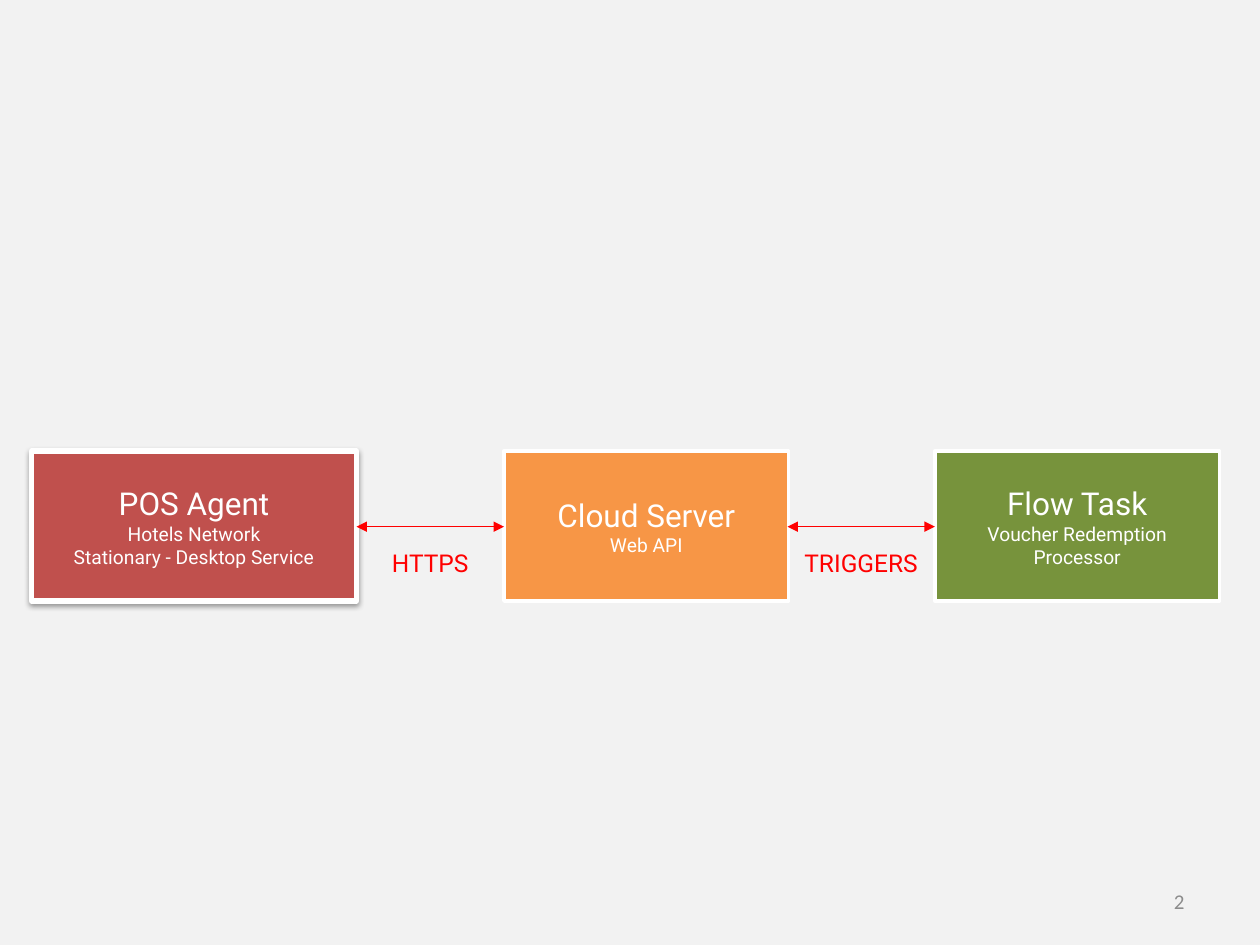
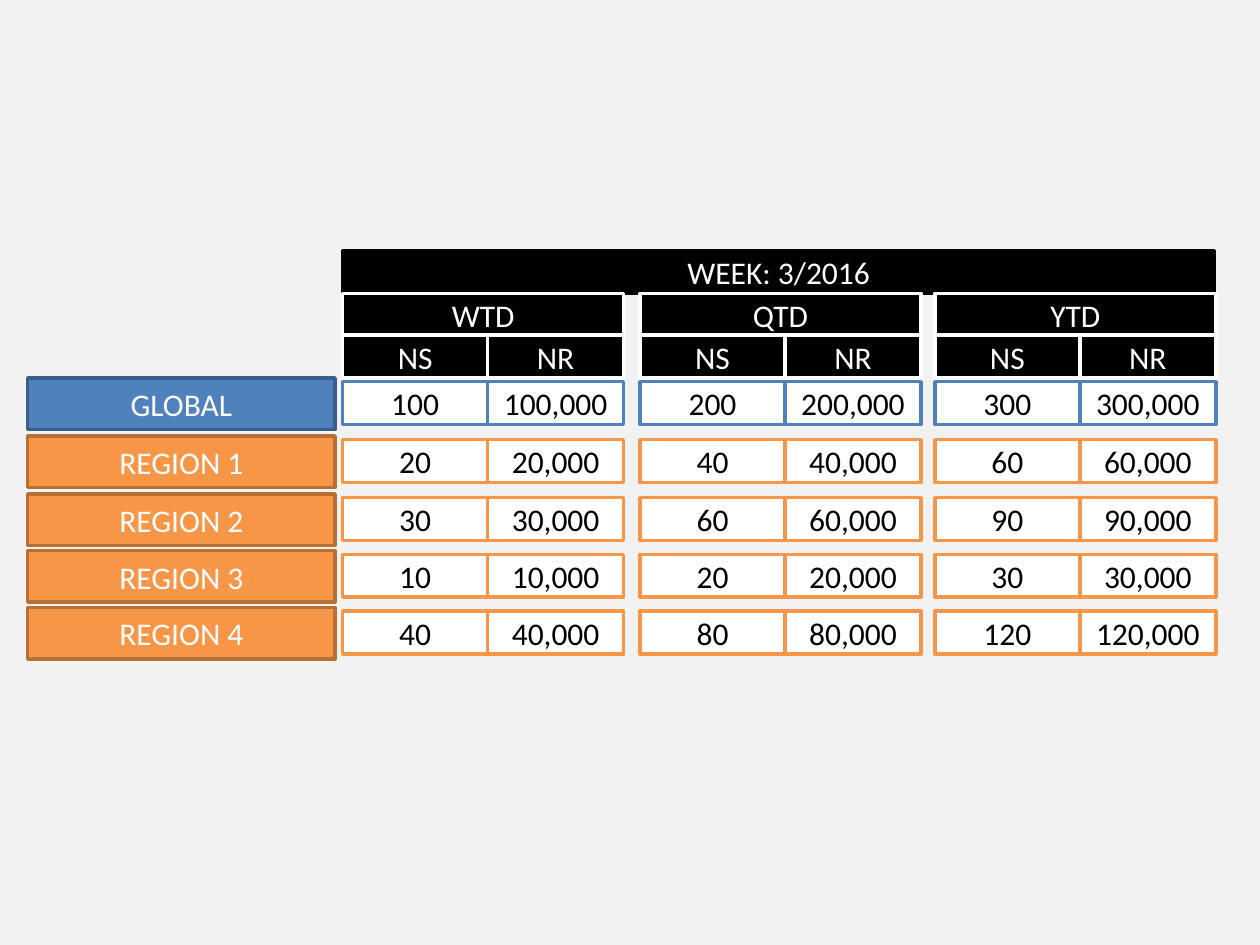
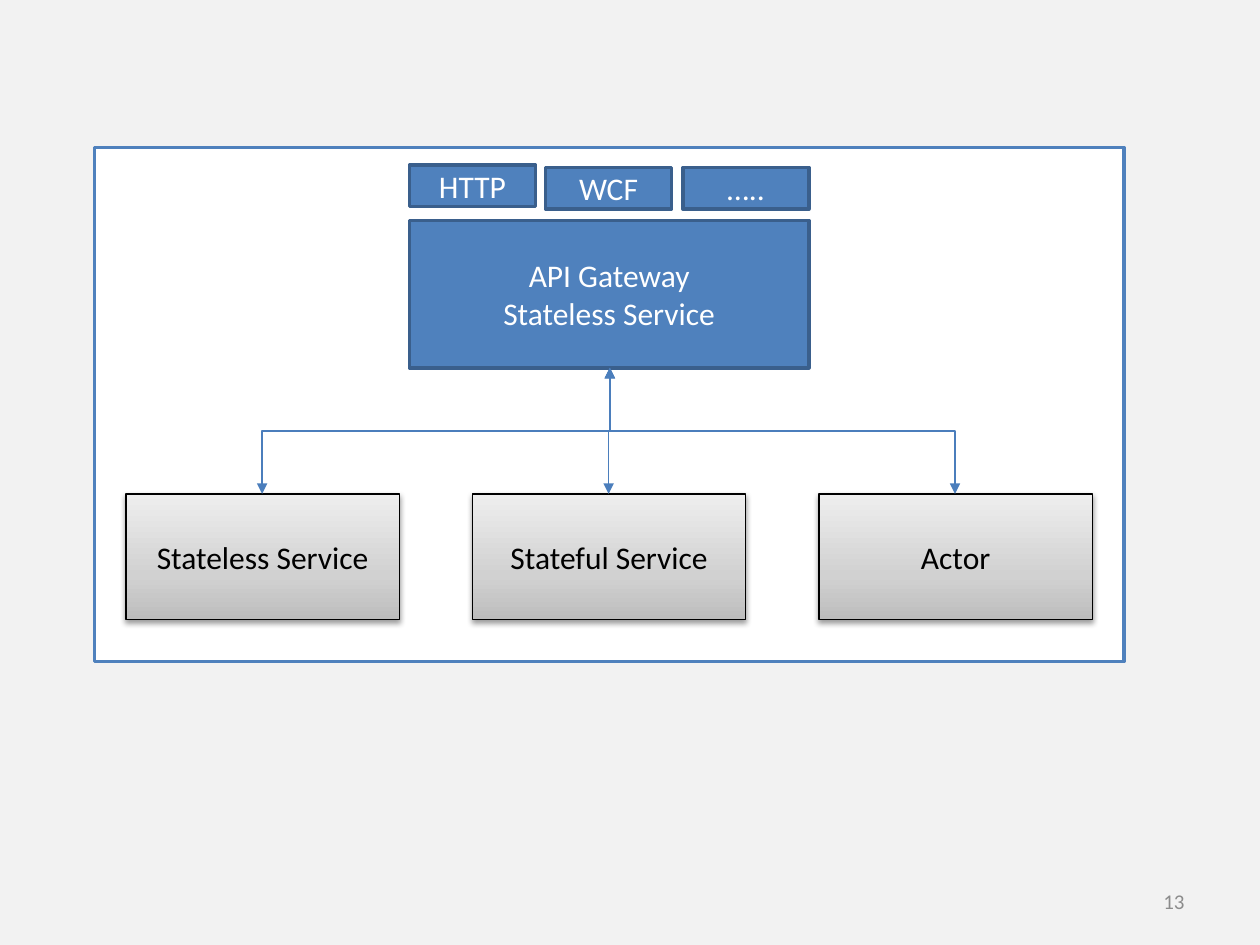
import copy

import lxml.etree
import pptx
import pptx.dml.color
import pptx.enum.shapes
import pptx.enum.text
import pptx.oxml.ns
import pptx.util

SCALE = 9144
BLUE, NAVY = "4F81BD", "3A5F8C"
ORANGE, BROWN = "F79646", "B76F34"
WHITE, BLACK, RED = "FFFFFF", "000000", "FF0000"
GRAY, PALE, WIRE = "8C8C8C", "F2F2F2", "4B7EBC"
ROBOTO = "Roboto"
STEEL = ((0, "BDBDBD"), (0.35, "D1D1D1"), (1, "EEEEEE"))


def px(size):
    return pptx.util.Emu(round(size * SCALE))


def tint(code):
    return pptx.dml.color.RGBColor.from_string(code)


def add(node, tag, **attrs):
    return lxml.etree.SubElement(node, pptx.oxml.ns.qn(tag), attrs)


def write(shape, text, size=18, sub=None, color=WHITE, font="Calibri",
          align="CENTER", anchor="MIDDLE"):
    frame = shape.text_frame
    frame.word_wrap = True
    frame.vertical_anchor = getattr(pptx.enum.text.MSO_ANCHOR, anchor)
    for row, line in enumerate(text.split("\n")):
        par = frame.add_paragraph() if row else frame.paragraphs[0]
        par.alignment = getattr(pptx.enum.text.PP_ALIGN, align)
        run = par.add_run()
        run.text = line
        run.font.size = pptx.util.Pt(sub if row and sub else size)
        run.font.name = font
        run.font.color.rgb = tint(color)


class Deck:
    def __init__(self):
        self.show = pptx.Presentation()
        self.show.slide_width = px(1000)
        self.show.slide_height = px(750)

    def page(self, num=None):
        self.slide = self.show.slides.add_slide(self.show.slide_layouts[6])
        back = self.slide.background.fill
        back.solid()
        back.fore_color.rgb = tint(PALE)
        if num:
            self.label(717, 695, 233, 40, num, size=12, color=GRAY, align="RIGHT")

    def label(self, x, y, wide, high, text, **style):
        box = self.slide.shapes.add_textbox(px(x), px(y), px(wide), px(high))
        write(box, text, **style)

    def box(self, x, y, wide, high, text="", fill=BLUE, edge=NAVY, width=2,
            shade=False, **style):
        rect = self.slide.shapes.add_shape(
            pptx.enum.shapes.MSO_SHAPE.RECTANGLE, px(x), px(y), px(wide), px(high))
        if isinstance(fill, str):
            rect.fill.solid()
            rect.fill.fore_color.rgb = tint(fill)
        else:
            self.blend(rect, fill)
        rect.line.color.rgb = tint(edge)
        rect.line.width = pptx.util.Pt(width)
        rect.shadow.inherit = False
        if shade:
            self.shade(rect)
        if text:
            write(rect, text, **style)

    def blend(self, rect, stops):
        rect.fill.gradient()
        rect.fill.gradient_angle = 90
        nodes = next(rect.element.iter(pptx.oxml.ns.qn("a:gsLst")))
        nodes.append(copy.deepcopy(nodes[0]))
        for stop, (place, code) in zip(rect.fill.gradient_stops, stops):
            stop.position = place
            stop.color.rgb = tint(code)

    def shade(self, rect):
        group = rect.element.spPr.find(pptx.oxml.ns.qn("a:effectLst"))
        drop = add(group, "a:outerShdw", blurRad="40000", dist="20000",
                   dir="5400000", rotWithShape="0")
        add(add(drop, "a:srgbClr", val=BLACK), "a:alpha", val="38000")

    def wire(self, x1, y1, x2, y2, color=RED, kind="STRAIGHT"):
        link = self.slide.shapes.add_connector(
            getattr(pptx.enum.shapes.MSO_CONNECTOR, kind),
            px(x1), px(y1), px(x2), px(y2))
        link.line.color.rgb = tint(color)
        link.line.width = pptx.util.Pt(0.75)
        props = link.element.spPr
        line = props.find(pptx.oxml.ns.qn("a:ln"))
        for end in ("a:headEnd", "a:tailEnd"):
            add(line, end, type="triangle")
        add(props, "a:effectLst")
        return link

    def bend(self, x1, y1, x2, y2):
        midx, midy = (x1 + x2) / 2, (y1 + y2) / 2
        long, wide = (y2 - y1) / 2, abs(x2 - x1) / 2
        link = self.wire(midx - long, midy - wide, midx + long, midy + wide,
                         WIRE, "ELBOW")
        frame = link.element.spPr.find(pptx.oxml.ns.qn("a:xfrm"))
        right = x2 > x1
        frame.set("rot", "16200000" if right else "5400000")
        if right:
            frame.set("flipH", "1")


def flow(deck):
    deck.page("2")
    parts = (
        (25, 258, "POS Agent\nHotels Network\nStationary - Desktop Service", "C0504D", 3),
        (400, 226, "Cloud Server\nWeb API", ORANGE, 2),
        (742, 226, "Flow Task\nVoucher Redemption Processor", "77933C", 2),
    )
    for x, wide, text, fill, width in parts:
        deck.box(x, 358, wide, 119, text, fill, WHITE, width, width == 3,
                 sub=11, font=ROBOTO)
    for x, text in ((283, "HTTPS"), (625, "TRIGGERS")):
        deck.wire(x, 418, x + 117, 418)
        deck.label(x - 8, 430, 133, 34, text, size=14, color=RED,
                   font=ROBOTO, anchor="TOP")


def pair(deck, x, y, texts, **style):
    deck.box(x, y, 115, 34, texts[0], **style)
    deck.box(x + 115, y, 108, 34, texts[1], **style)


def grid(deck):
    deck.page()
    spots = (272, 508, 742)
    head = {"fill": BLACK, "edge": WHITE}
    deck.box(272, 199, 692, 34, "WEEK: 3/2016", BLACK, BLACK)
    for x, term in zip(spots, ("WTD", "QTD", "YTD")):
        deck.box(x, 233, 223, 34, term, **head)
        pair(deck, x, 266, ("NS", "NR"), **head)
    rows = (
        ("GLOBAL", 300, (100, 200, 300)),
        ("REGION 1", 346, (20, 40, 60)),
        ("REGION 2", 392, (30, 60, 90)),
        ("REGION 3", 437, (10, 20, 30)),
        ("REGION 4", 482, (40, 80, 120)),
    )
    for name, y, sales in rows:
        fill, edge = (BLUE, NAVY) if name == "GLOBAL" else (ORANGE, BROWN)
        deck.box(22, y, 244, 41, name, fill, edge)
        for x, count in zip(spots, sales):
            pair(deck, x, y + 3, (str(count), f"{count * 1000:,}"),
                 fill=WHITE, edge=fill, color=BLACK)


def mesh(deck):
    deck.page("13")
    deck.box(75, 117, 817, 408, fill=WHITE, edge=BLUE)
    deck.box(325, 175, 317, 117, "API Gateway\nStateless Service")
    nodes = ("Stateless Service", "Stateful Service", "Actor")
    for slot, name in enumerate(nodes):
        deck.box(100 + 275 * slot, 392, 217, 100, name, STEEL, BLACK, 0.75,
                 True, color=BLACK)
    for x in (758, 483, 208):
        deck.bend(484, 292, x, 392)
    for x, y, name in ((325, 131, "HTTP"), (433, 133, "WCF"), (542, 133, "…..")):
        deck.box(x, y, 100, 33, name)


def main():
    deck = Deck()
    flow(deck)
    grid(deck)
    mesh(deck)
    deck.show.save("out.pptx")


if __name__ == "__main__":
    main()
